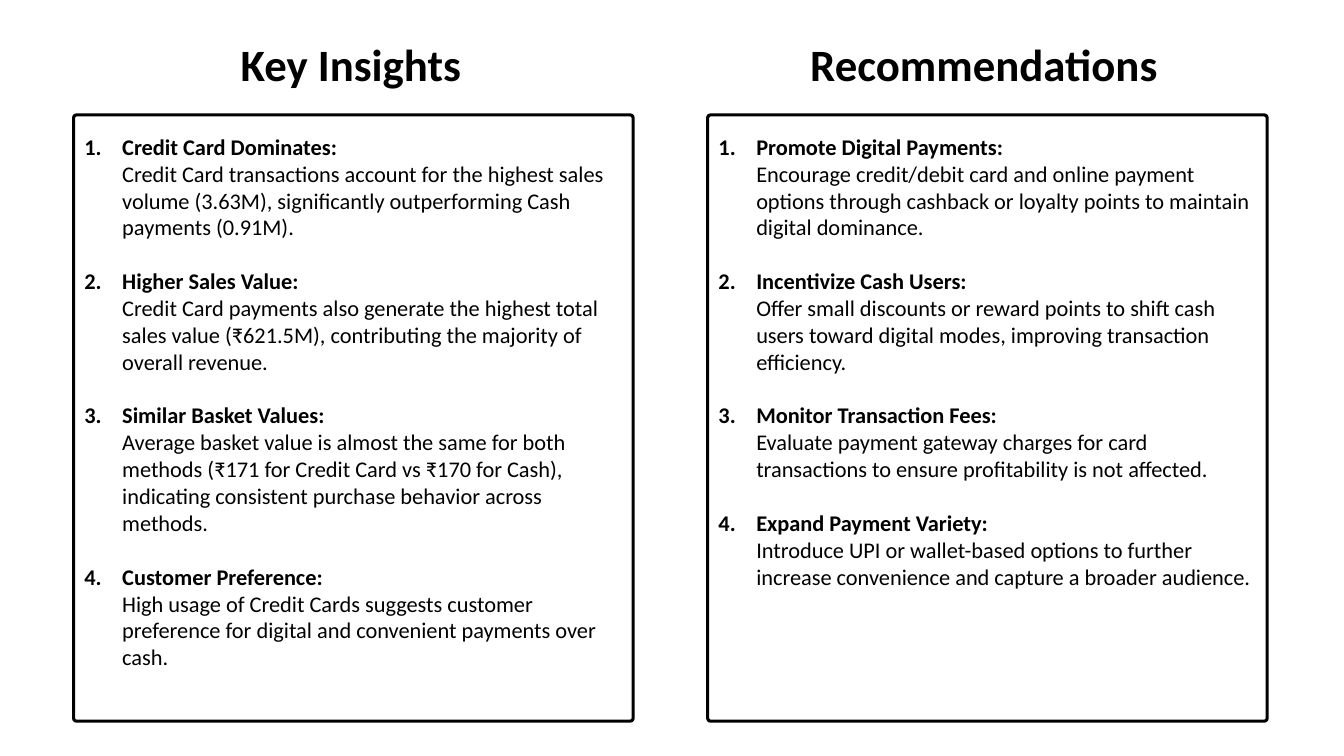
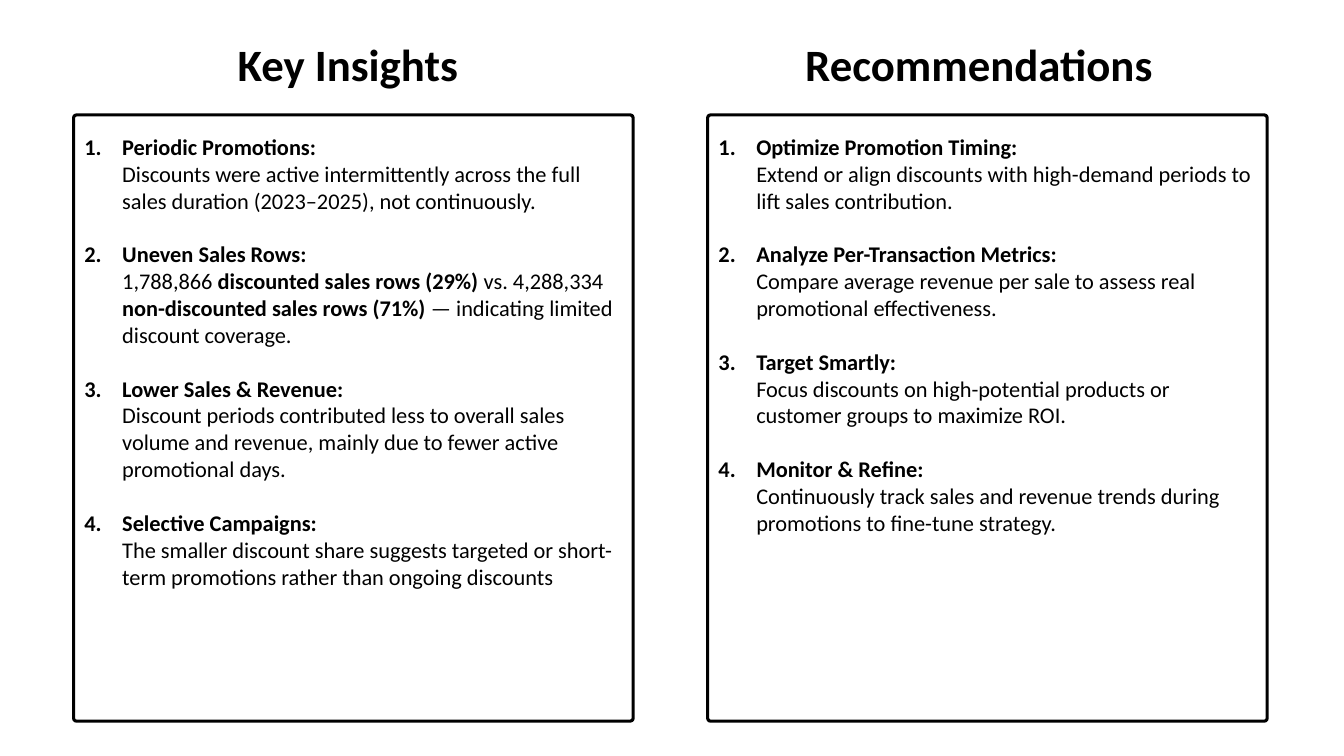
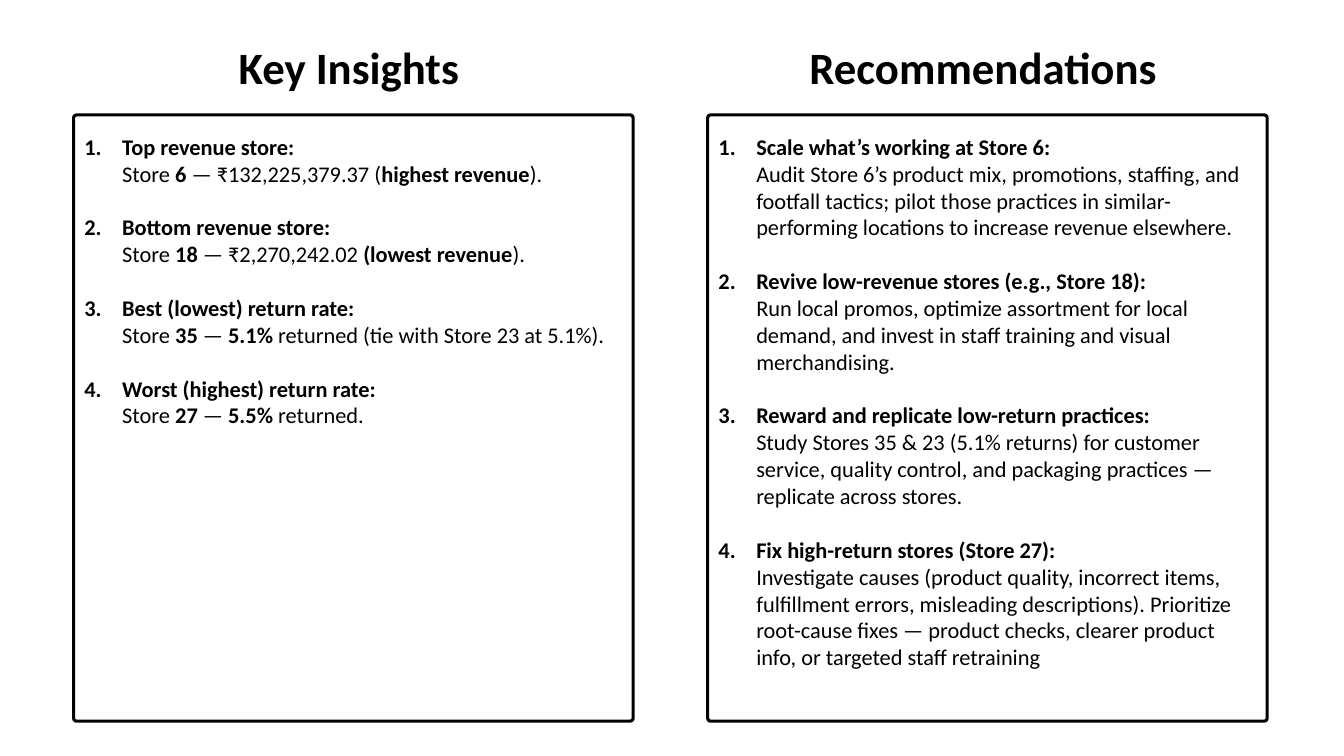
from dataclasses import dataclass

from lxml import etree
from pptx import Presentation
from pptx import util as u
from pptx.dml import color
from pptx.enum import shapes, text
from pptx.oxml import ns

# Shared style
INK = "000000"
FONT = "Calibri"
HEAD_SIZE, BODY_SIZE = 32, 16
FRAME_LEFT, FRAME_TOP, FRAME_W, FRAME_H = 52.6, 82.1, 399.6, 433
FRAME_LINE, FRAME_ROUND = 2.2, 0.005
PITCH = 452.9
BODY_TOP, BODY_H = 91.4, 395
HEAD_H = 46
INDENT = 27
GAP = 19.2


@dataclass
class Item:
    head: str
    body: str  # ** switches bold on and off


@dataclass
class Panel:
    title: str
    left: float
    width: float
    items: list[Item]


@dataclass
class Page:
    top: float
    panels: list[Panel]


def insights(left: float, items: list[Item]) -> Panel:
    return Panel("Key Insights", left, 180, items)


def advice(left: float, items: list[Item]) -> Panel:
    return Panel("Recommendations", left, 274, items)


PAGES = [
    Page(23, [
        insights(164.9, [
            Item("Credit Card Dominates:",
                 "Credit Card transactions account for the highest sales volume (3.63M), "
                 "significantly outperforming Cash payments (0.91M)."),
            Item("Higher Sales Value:",
                 "Credit Card payments also generate the highest total sales value (₹621.5M), "
                 "contributing the majority of overall revenue."),
            Item("Similar Basket Values:",
                 "Average basket value is almost the same for both methods (₹171 for Credit Card "
                 "vs ₹170 for Cash), indicating consistent purchase behavior across methods."),
            Item("Customer Preference:",
                 "High usage of Credit Cards suggests customer preference for digital and "
                 "convenient payments over cash."),
        ]),
        advice(571.7, [
            Item("Promote Digital Payments:",
                 "Encourage credit/debit card and online payment options through cashback or "
                 "loyalty points to maintain digital dominance."),
            Item("Incentivize Cash Users:",
                 "Offer small discounts or reward points to shift cash users toward digital "
                 "modes, improving transaction efficiency."),
            Item("Monitor Transaction Fees:",
                 "Evaluate payment gateway charges for card transactions to ensure "
                 "profitability is not affected."),
            Item("Expand Payment Variety:",
                 "Introduce UPI or wallet-based options to further increase convenience and "
                 "capture a broader audience."),
        ]),
    ]),
    Page(23, [
        insights(162.7, [
            Item("Periodic Promotions:",
                 "Discounts were active intermittently across the full sales duration "
                 "(2023–2025), not continuously."),
            Item("Uneven Sales Rows:",
                 "1,788,866 **discounted sales rows (29%)** vs. 4,288,334 "
                 "**non-discounted sales rows (71%)** — indicating limited discount coverage."),
            Item("Lower Sales & Revenue:",
                 "Discount periods contributed less to overall sales volume and revenue, "
                 "mainly due to fewer active promotional days."),
            Item("Selective Campaigns:",
                 "The smaller discount share suggests targeted or short-term promotions "
                 "rather than ongoing discounts"),
        ]),
        advice(568.1, [
            Item("Optimize Promotion Timing:",
                 "Extend or align discounts with high-demand periods to lift sales contribution."),
            Item("Analyze Per-Transaction Metrics:",
                 "Compare average revenue per sale to assess real promotional effectiveness."),
            Item("Target Smartly:",
                 "Focus discounts on high-potential products or customer groups to maximize ROI."),
            Item("Monitor & Refine:",
                 "Continuously track sales and revenue trends during promotions to "
                 "fine-tune strategy."),
        ]),
    ]),
    Page(24.5, [
        insights(163.4, [
            Item("Top revenue store:", "Store **6** — ₹132,225,379.37 (**highest revenue**)."),
            Item("Bottom revenue store:", "Store **18** — ₹2,270,242.02 **(lowest revenue**)."),
            Item("Best (lowest) return rate:",
                 "Store **35** — **5.1%** returned (tie with Store 23 at 5.1%)."),
            Item("Worst (highest) return rate:", "Store **27** — **5.5%** returned."),
        ]),
        advice(571, [
            Item("Scale what’s working at Store 6:",
                 "Audit Store 6’s product mix, promotions, staffing, and footfall tactics; pilot "
                 "those practices in similar-performing locations to increase revenue elsewhere."),
            Item("Revive low-revenue stores (e.g., Store 18):",
                 "Run local promos, optimize assortment for local demand, and invest in staff "
                 "training and visual merchandising."),
            Item("Reward and replicate low-return practices:",
                 "Study Stores 35 & 23 (5.1% returns) for customer service, quality control, "
                 "and packaging practices — replicate across stores."),
            Item("Fix high-return stores (Store 27):",
                 "Investigate causes (product quality, incorrect items, fulfillment errors, "
                 "misleading descriptions). Prioritize root-cause fixes — product checks, "
                 "clearer product info, or targeted staff retraining"),
        ]),
    ]),
]


def paint(target, tone: str) -> None:
    target.rgb = color.RGBColor.from_string(tone)


def add_run(para, words: str, size: float, bold: bool) -> None:
    run = para.add_run()
    run.text = words
    run.font.name = FONT
    run.font.size = u.Pt(size)
    run.font.bold = bold
    paint(run.font.color, INK)


def add_box(slide, left: float, top: float, width: float, height: float):
    box = slide.shapes.add_textbox(u.Pt(left), u.Pt(top), u.Pt(width), u.Pt(height))
    frame = box.text_frame
    frame.word_wrap = True
    frame.auto_size = text.MSO_AUTO_SIZE.SHAPE_TO_FIT_TEXT
    return frame


def number(para) -> None:
    props = para._p.get_or_add_pPr()
    props.set("marL", str(u.Pt(INDENT)))
    props.set("indent", str(-u.Pt(INDENT)))
    tint = etree.SubElement(props, ns.qn("a:buClr"))
    etree.SubElement(tint, ns.qn("a:srgbClr"), val=INK)
    etree.SubElement(props, ns.qn("a:buFont"), typeface=FONT)
    etree.SubElement(props, ns.qn("a:buAutoNum"), type="arabicPeriod")


def draw_frame(slide, left: float) -> None:
    frame = slide.shapes.add_shape(
        shapes.MSO_SHAPE.ROUNDED_RECTANGLE,
        u.Pt(left), u.Pt(FRAME_TOP), u.Pt(FRAME_W), u.Pt(FRAME_H))
    frame.adjustments[0] = FRAME_ROUND
    frame.shadow.inherit = False
    frame.fill.background()
    frame.line.width = u.Pt(FRAME_LINE)
    paint(frame.line.color, INK)


def draw_list(slide, left: float, items: list[Item]) -> None:
    frame = add_box(slide, left, BODY_TOP, FRAME_W, BODY_H)
    for i, item in enumerate(items):
        para = frame.add_paragraph() if i else frame.paragraphs[0]
        para.space_before = u.Pt(GAP if i else 0)
        number(para)
        add_run(para, item.head, BODY_SIZE, True)
        para.add_line_break()
        for k, part in enumerate(item.body.split("**")):
            if part:
                add_run(para, part, BODY_SIZE, k % 2 == 1)


def draw_panel(slide, panel: Panel, left: float, top: float) -> None:
    draw_frame(slide, left)
    draw_list(slide, left + 0.6, panel.items)
    title = add_box(slide, panel.left, top, panel.width, HEAD_H)
    add_run(title.paragraphs[0], panel.title, HEAD_SIZE, True)


def main() -> None:
    deck = Presentation()
    deck.slide_width, deck.slide_height = u.Pt(960), u.Pt(540)
    for page in PAGES:
        slide = deck.slides.add_slide(deck.slide_layouts[6])
        for col, panel in enumerate(page.panels):
            draw_panel(slide, panel, FRAME_LEFT + col * PITCH, page.top)
    deck.save("out.pptx")


if __name__ == "__main__":
    main()
